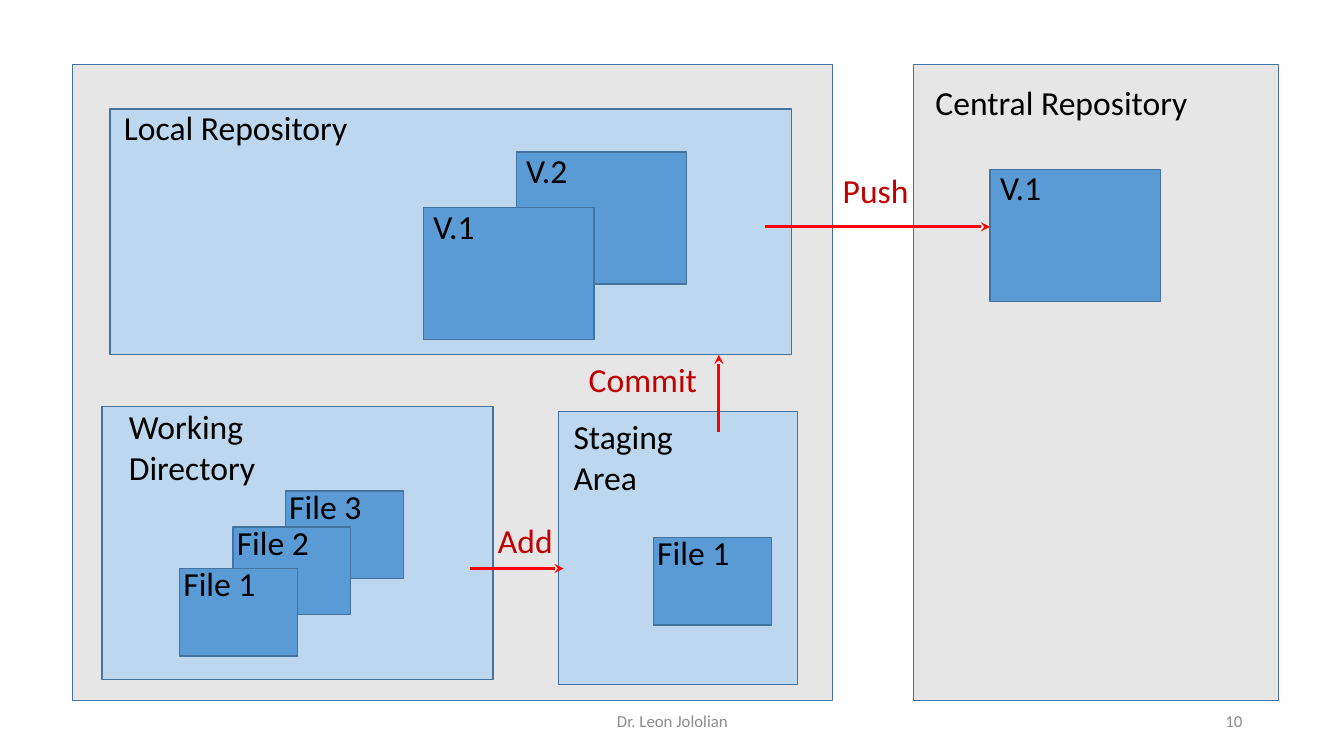
import pptx
import pptx.util
import pptx.dml.color
import pptx.enum.shapes
import pptx.enum.text
import pptx.oxml.ns
import lxml.etree

Inches = pptx.util.Inches
ALIGN = pptx.enum.text.PP_ALIGN
ANCHOR = pptx.enum.text.MSO_ANCHOR
COLORS = {
    "panel": "E7E6E6",
    "area": "BDD7EE",
    "item": "5B9BD5",
    "border": "43739E",
    "text": "000000",
    "action": "C00000",
    "arrow": "FF0000",
    "footer": "8C8C8C",
}


def rgb(name):
    """Return the named colour."""
    return pptx.dml.color.RGBColor.from_string(COLORS[name])


def add_box(s, x, y, w, h, fill):
    """Draw a bordered rectangle."""
    sp = s.shapes.add_shape(pptx.enum.shapes.MSO_SHAPE.RECTANGLE,
                            Inches(x), Inches(y), Inches(w), Inches(h))
    sp.shadow.inherit = False
    sp.fill.solid()
    sp.fill.fore_color.rgb = rgb(fill)
    sp.line.color.rgb = rgb(border := "border")
    sp.line.width = pptx.util.Pt(1)


def add_text(s, x, y, w, h, lines, color="text", size=24, wrap=False,
             align=ALIGN.LEFT, anchor=ANCHOR.TOP):
    """Write one paragraph per line in a text box."""
    sp = s.shapes.add_textbox(Inches(x), Inches(y), Inches(w), Inches(h))
    tf = sp.text_frame
    tf.word_wrap = wrap
    tf.vertical_anchor = anchor
    for i, line in enumerate(lines):
        p = tf.add_paragraph() if i else tf.paragraphs[0]
        p.alignment = align
        r = p.add_run()
        r.text = line
        r.font.name = "Calibri"
        r.font.size = pptx.util.Pt(size)
        r.font.color.rgb = rgb(color)


def add_arrow(s, x1, y1, x2, y2):
    """Draw a red arrow with a stealth head."""
    c = s.shapes.add_connector(pptx.enum.shapes.MSO_CONNECTOR.STRAIGHT,
                               Inches(x1), Inches(y1), Inches(x2), Inches(y2))
    c.line.color.rgb = rgb("arrow")
    c.line.width = pptx.util.Pt(2.25)
    qn = pptx.oxml.ns.qn
    lxml.etree.SubElement(c.line._get_or_add_ln(), qn("a:tailEnd"), type="stealth")
    lxml.etree.SubElement(c._element.spPr, qn("a:effectLst"))


def add_version(s, x, y, name):
    """Draw a version box with its name."""
    add_box(s, x, y, 1.69, 1.31, "item")
    add_text(s, x, y - 0.07, 0.61, 0.5, [name])


def add_file(s, x, y, name):
    """Draw a file box with its name."""
    add_box(s, x, y, 1.17, 0.87, "item")
    add_text(s, x - 0.06, y - 0.1, 0.92, 0.5, [name], wrap=True)


def local_repository(s, x, y, w, h):
    """Draw the local repository and its versions."""
    add_box(s, x, y, w, h, "area")
    add_text(s, x + 0.04, y - 0.07, 2.44, 0.5, ["Local Repository"])
    add_version(s, x + 4.03, y + 0.43, "V.2")
    add_version(s, x + 3.11, y + 0.98, "V.1")


def working_directory(s, x, y, w, h):
    """Draw the working directory and its stack of files."""
    add_box(s, x, y, w, h, "area")
    add_text(s, x + 0.17, y - 0.05, 1.79, 0.91, ["Working", "Directory"], wrap=True)
    for dx, dy, name in [(1.82, 0.84, "File 3"), (1.3, 1.2, "File 2"), (0.77, 1.61, "File 1")]:
        add_file(s, x + dx, y + dy, name)


def staging_area(s, x, y, w, h):
    """Draw the staging area and its file."""
    add_box(s, x, y, w, h, "area")
    add_text(s, x + 0.05, y, 1.3, 0.91, ["Staging", "Area"], wrap=True)
    add_file(s, x + 0.94, y + 1.25, "File 1")


def local_machine(s, x, y, w, h):
    """Draw the local panel and its three areas."""
    add_box(s, x, y, w, h, "panel")
    local_repository(s, x + 0.37, y + 0.44, 6.76, 2.44)
    working_directory(s, x + 0.29, y + 3.39, 3.88, 2.71)
    staging_area(s, x + 4.82, y + 3.44, 2.37, 2.71)


def central_repository(s, x, y, w, h):
    """Draw the central repository and its version."""
    add_box(s, x, y, w, h, "panel")
    add_text(s, x + 0.12, y + 0.12, 2.72, 0.5, ["Central Repository"])
    add_version(s, x + 0.76, y + 1.04, "V.1")


def actions(s):
    """Draw the labelled arrows between areas."""
    for name, label, ends in [
        ("Add", (4.84, 5.11, 0.75), (4.66, 5.64, 5.59, 5.64)),
        ("Commit", (5.74, 3.51, 1.28), (7.13, 4.29, 7.13, 3.52)),
        ("Push", (8.26, 1.64, 0.86), (7.59, 2.25, 9.82, 2.25)),
    ]:
        add_arrow(s, *ends)
        add_text(s, *label, 0.5, [name], "action")


def footer(s, y, h):
    """Write the author and the slide number."""
    for x, w, text, align in [(4.42, 4.5, "Dr. Leon Jololian", ALIGN.CENTER),
                              (9.42, 3, "10", ALIGN.RIGHT)]:
        add_text(s, x, y, w, h, [text], "footer", 12, True, align, ANCHOR.MIDDLE)


def main():
    """Build and save the slide."""
    prs = pptx.Presentation()
    prs.slide_width, prs.slide_height = Inches(13.33), Inches(7.5)
    s = prs.slides.add_slide(prs.slide_layouts[6])
    footer(s, 6.95, 0.4)
    local_machine(s, 0.72, 0.64, 7.54, 6.31)
    central_repository(s, 9.06, 0.64, 3.62, 6.31)
    actions(s)
    prs.save("out.pptx")


if __name__ == "__main__":
    main()
